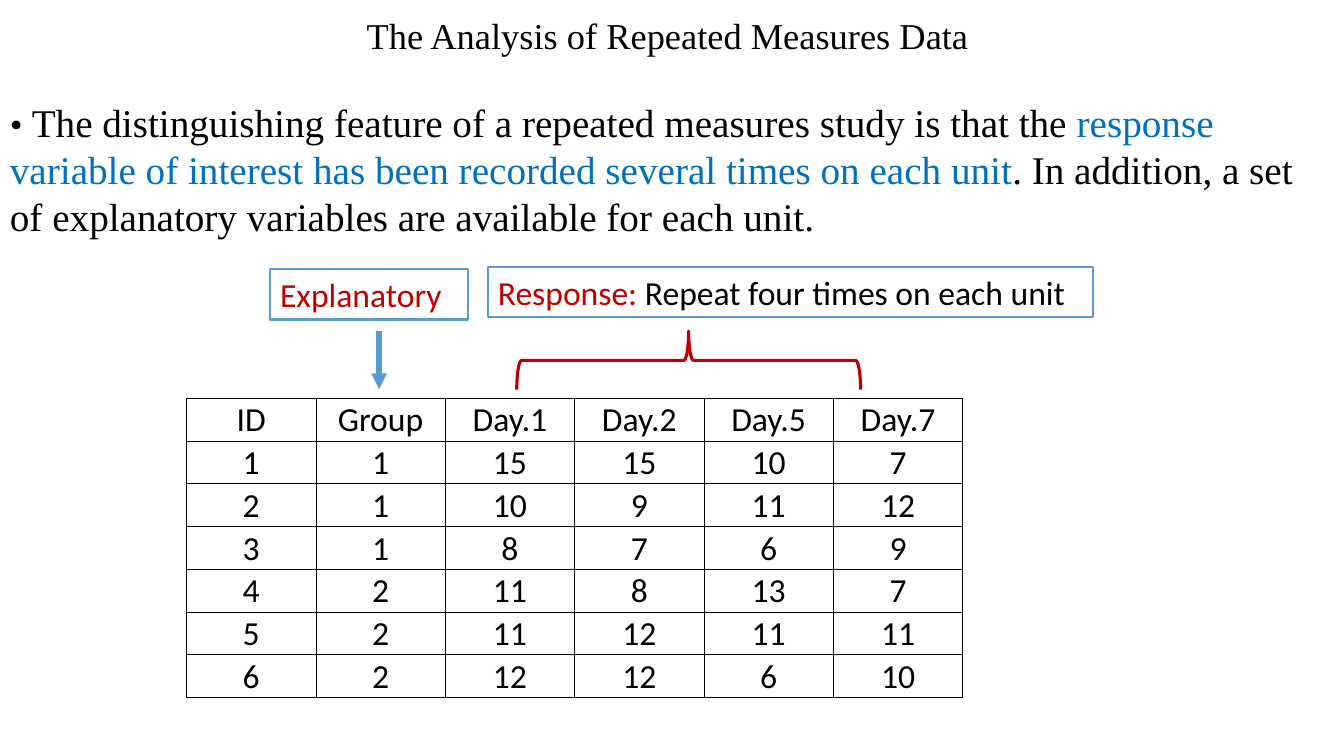
from lxml import etree
from pptx import Presentation
from pptx import util as u
from pptx.dml.color import RGBColor
from pptx.enum import shapes, text
from pptx.oxml import ns

BLACK = RGBColor(0x00, 0x00, 0x00)
BLUE = RGBColor(0x00, 0x70, 0xC0)
RED = RGBColor(0xC0, 0x00, 0x00)
OUTLINE = RGBColor(0x5B, 0x9B, 0xD5)
SERIF, SANS = "Times New Roman", "Calibri"

INTRO = [
    [("The Analysis of Repeated Measures Data", 26, BLACK)],
    [("• ", 26, BLACK),
     ("The distinguishing feature of a repeated measures study is that the ", 28, BLACK),
     ("response", 28, BLUE)],
    [("variable of interest has been recorded several times on each unit", 28, BLUE),
     (". In addition, a set of explanatory variables are available for each unit.", 28, BLACK)],
]
LABELS = [
    ((4.84, 2.65, 6, 0.5),
     [("Response: ", 24, RED), ("Repeat four times on each unit", 24, BLACK)]),
    ((2.68, 2.67, 1.96, 0.5), [("Explanatory", 24, RED)]),
]
MEASURES = [
    ("ID", "Group", "Day.1", "Day.2", "Day.5", "Day.7"),
    (1, 1, 15, 15, 10, 7),
    (2, 1, 10, 9, 11, 12),
    (3, 1, 8, 7, 6, 9),
    (4, 2, 11, 8, 13, 7),
    (5, 2, 11, 12, 11, 11),
    (6, 2, 12, 12, 6, 10),
]
TABLE_BOX = (1.85, 3.95, 7.7, 2.97)
BRACE_BOX = (6.54, 1.87, 0.58, 3.41)
ARROW = (3.76, 3.28, 3.76, 3.86)
CELL_FORMAT = {
    "vertical_anchor": text.MSO_ANCHOR.BOTTOM,
    "margin_left": u.Inches(0.01),
    "margin_right": u.Inches(0.01),
    "margin_top": u.Inches(0.01),
    "margin_bottom": 0,
}


def inches(values):
    return [u.Inches(value) for value in values]


def apply(target, values):
    for name, value in values.items():
        setattr(target, name, value)


def write(paragraph, runs, font_name):
    for words, size, color in runs:
        run = paragraph.add_run()
        run.text = words
        apply(run.font, {"name": font_name, "size": u.Pt(size), "bold": False})
        run.font.color.rgb = color


def outline(shape, color, width):
    shape.line.color.rgb = color
    shape.line.width = u.Pt(width)


def add_text_box(slide, box, paragraphs, font_name):
    shape = slide.shapes.add_textbox(*inches(box))
    frame = shape.text_frame
    apply(frame, {"word_wrap": True, "auto_size": text.MSO_AUTO_SIZE.SHAPE_TO_FIT_TEXT})
    for index, runs in enumerate(paragraphs):
        paragraph = frame.add_paragraph() if index else frame.paragraphs[0]
        write(paragraph, runs, font_name)
    return shape


def add_borders(cell):
    properties = cell._tc.get_or_add_tcPr()
    for position, side in enumerate(("lnL", "lnR", "lnT", "lnB")):
        border = etree.Element(ns.qn(f"a:{side}"), w=str(u.Pt(0.5)))
        fill = etree.SubElement(border, ns.qn("a:solidFill"))
        etree.SubElement(fill, ns.qn("a:srgbClr"), val=str(BLACK))
        properties.insert(position, border)


def add_measures(slide):
    frame = slide.shapes.add_table(len(MEASURES), len(MEASURES[0]), *inches(TABLE_BOX))
    table = frame.table
    apply(table, {"first_row": False, "horz_banding": False})
    for row, values in enumerate(MEASURES):
        for column, value in enumerate(values):
            cell = table.cell(row, column)
            apply(cell, CELL_FORMAT)
            cell.fill.background()
            add_borders(cell)
            paragraph = cell.text_frame.paragraphs[0]
            paragraph.alignment = text.PP_ALIGN.CENTER
            write(paragraph, [(str(value), 24, BLACK)], SANS)


def add_brace(slide):
    brace = slide.shapes.add_shape(shapes.MSO_SHAPE.RIGHT_BRACE, *inches(BRACE_BOX))
    brace.rotation = 270
    brace.shadow.inherit = False
    brace.fill.background()
    outline(brace, RED, 2.25)


def add_arrow(slide):
    arrow = slide.shapes.add_connector(shapes.MSO_CONNECTOR.STRAIGHT, *inches(ARROW))
    outline(arrow, OUTLINE, 3.75)
    etree.SubElement(arrow.line._get_or_add_ln(), ns.qn("a:tailEnd"), type="triangle")
    etree.SubElement(arrow._element.spPr, ns.qn("a:effectLst"))


def main():
    presentation = Presentation()
    apply(presentation, {"slide_width": u.Inches(13.33), "slide_height": u.Inches(7.5)})
    slide = presentation.slides.add_slide(presentation.slide_layouts[6])
    intro = add_text_box(slide, (0, 0.08, 13.25, 2.86), INTRO, SERIF)
    title = intro.text_frame.paragraphs[0]
    apply(title, {"alignment": text.PP_ALIGN.CENTER, "space_after": u.Pt(30)})
    add_measures(slide)
    for box, runs in LABELS:
        outline(add_text_box(slide, box, [runs], SANS), OUTLINE, 1.5)
    add_brace(slide)
    add_arrow(slide)
    presentation.save("out.pptx")


if __name__ == "__main__":
    main()
